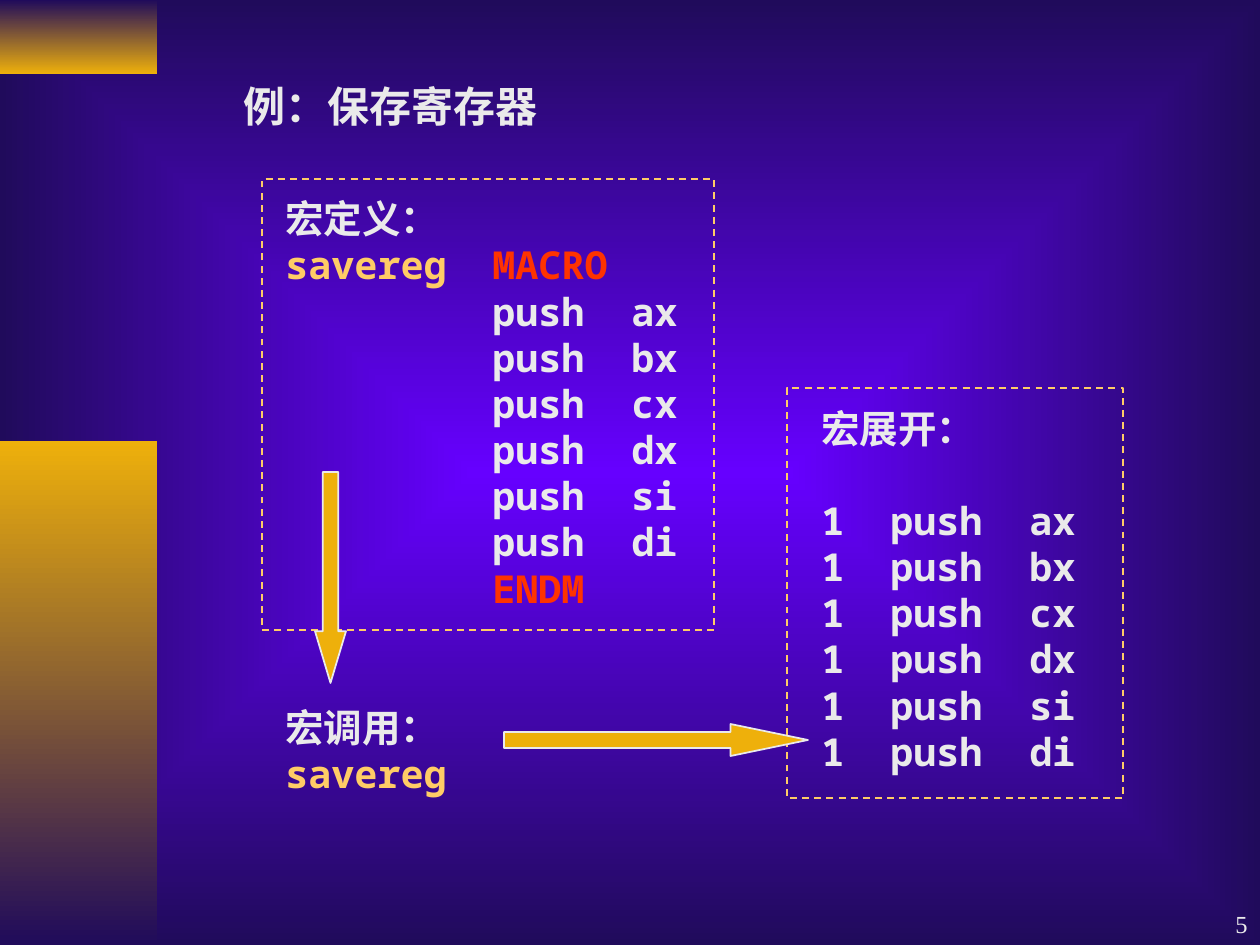
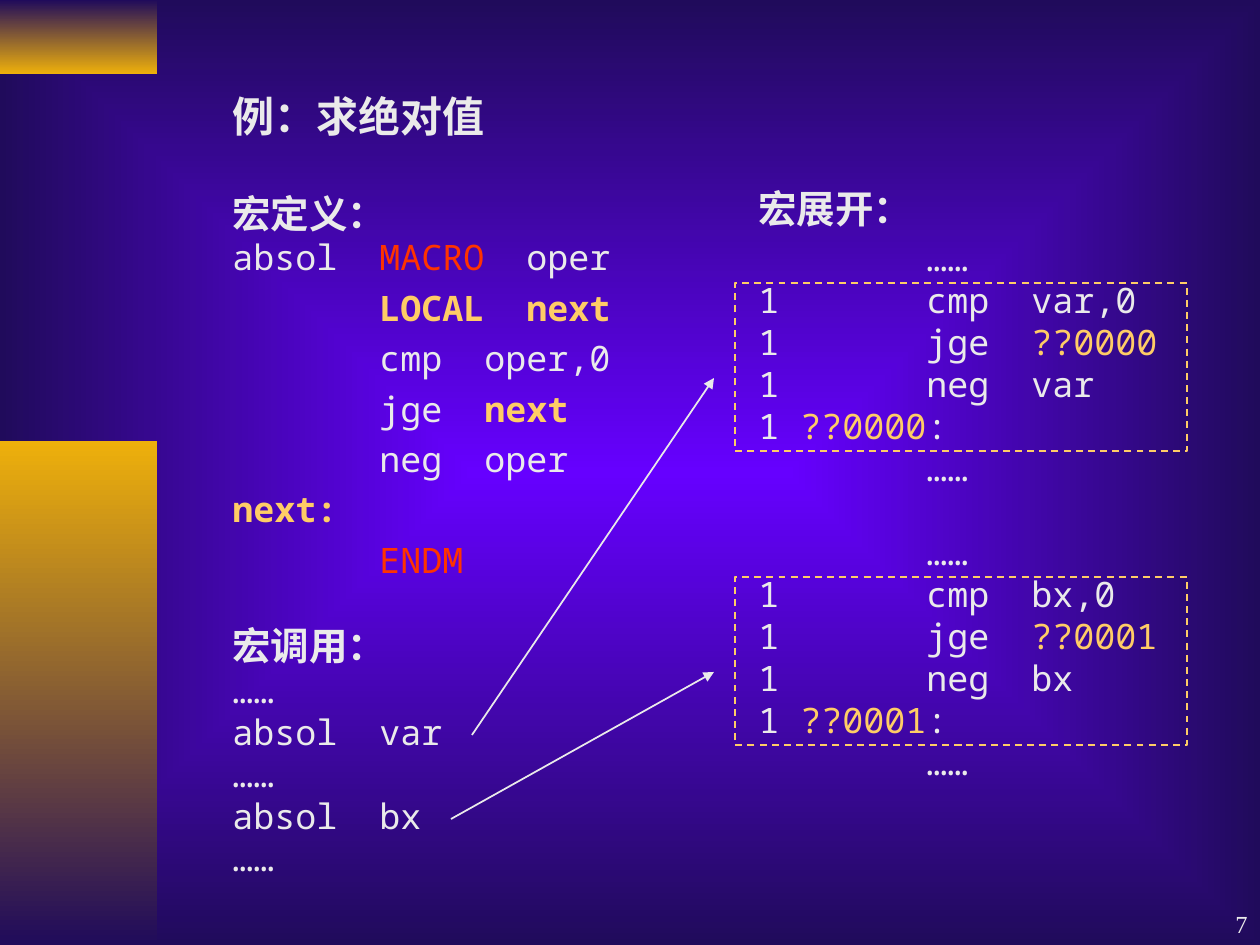
from pptx import Presentation
from pptx.dml.color import RGBColor
from pptx.enum.dml import MSO_LINE
from pptx.enum.shapes import MSO_CONNECTOR, MSO_SHAPE
from pptx.enum.text import MSO_ANCHOR, PP_ALIGN
from pptx.oxml import parse_xml
from pptx.oxml.ns import nsdecls, qn
from pptx.util import Pt

SCALE = 914400 / 126
NAVY, VIOLET, GOLD = "200B5B", "6600FF", "EEB00B"
PALE, SAND, RED = "EAEAEA", "FFCC66", "FF3300"

SERIF, MONO = "Times New Roman", "Noto Sans Mono"
TITLE = {"name": SERIF, "size": Pt(24), "bold": True}
HEAD = {"name": SERIF, "size": Pt(22), "bold": True}
STRONG = {"name": MONO, "size": Pt(22), "bold": True}
CODE = {"name": MONO, "size": Pt(20), "bold": False}
FOOT = {"name": SERIF, "size": Pt(14), "bold": False}


def px(num):
    return round(num * SCALE)


def tint(code):
    return RGBColor.from_string(code)


def apply(item, style):
    for key, value in style.items():
        setattr(item, key, value)


def blend(fill, first, last):
    fill.gradient()
    for stop, code in zip(fill.gradient_stops, (first, last)):
        stop.color.rgb = tint(code)


def line(style, *runs, tabs=(), **form):
    return style, runs, tabs, form


def set_tabs(para, tabs):
    stops = "".join(f'<a:tab pos="{px(tab)}" algn="l"/>' for tab in tabs)
    props = para._p.get_or_add_pPr()
    props.append(parse_xml(f'<a:tabLst {nsdecls("a")}>{stops}</a:tabLst>'))


def add_text(slide, box, lines, anchor=MSO_ANCHOR.TOP):
    frame = slide.shapes.add_textbox(*map(px, box)).text_frame
    apply(frame, {"word_wrap": True, "vertical_anchor": anchor})
    for row, (style, runs, tabs, form) in enumerate(lines):
        para = frame.add_paragraph() if row else frame.paragraphs[0]
        apply(para, form)
        if tabs:
            set_tabs(para, tabs)
        for part in runs:
            text, code, extra = part if isinstance(part, tuple) else (part, PALE, {})
            run = para.add_run()
            run.text = text
            apply(run.font, {**style, **extra})
            run.font.color.rgb = tint(code)


def sand(text, **extra):
    return text, SAND, extra


def red(text):
    return text, RED, {}


def add_shape(slide, kind, box):
    shape = slide.shapes.add_shape(kind, *map(px, box))
    shape.shadow.inherit = False
    return shape


def add_band(slide, box, first, last):
    band = add_shape(slide, MSO_SHAPE.RECTANGLE, box)
    blend(band.fill, first, last)
    band.fill.gradient_angle = 270
    band.line.fill.background()


def add_frame(slide, box):
    frame = add_shape(slide, MSO_SHAPE.RECTANGLE, box)
    frame.fill.background()
    frame.line.color.rgb = tint(SAND)
    apply(frame.line, {"width": Pt(1), "dash_style": MSO_LINE.DASH})


def add_block(slide, kind, box, head):
    block = add_shape(slide, kind, box)
    block.adjustments[0] = 0.5
    block.adjustments[1] = head
    block.fill.solid()
    block.fill.fore_color.rgb = tint(GOLD)
    block.line.color.rgb = tint(PALE)
    block.line.width = Pt(1)


def add_arrow(slide, *ends):
    arrow = slide.shapes.add_connector(MSO_CONNECTOR.STRAIGHT, *map(px, ends))
    arrow.line.color.rgb = tint(PALE)
    arrow.line.width = Pt(1)
    props = arrow._element.spPr
    props.find(qn("a:ln")).append(parse_xml(f'<a:tailEnd {nsdecls("a")} type="triangle"/>'))
    props.append(parse_xml(f'<a:effectLst {nsdecls("a")}/>'))


def add_page(deck, num):
    slide = deck.slides.add_slide(deck.slide_layouts[6])
    blend(slide.background.fill, VIOLET, NAVY)
    lin = slide.element.find(".//" + qn("a:lin"))
    lin.getparent().replace(lin, parse_xml(
        f'<a:path {nsdecls("a")} path="rect">'
        '<a:fillToRect l="50000" t="50000" r="50000" b="50000"/></a:path>'))
    add_band(slide, (0, 0, 157, 74), NAVY, GOLD)
    add_band(slide, (0, 441, 157, 504), GOLD, NAVY)
    add_text(slide, (998, 882, 262, 63),
             [line(FOOT, str(num), alignment=PP_ALIGN.RIGHT)], MSO_ANCHOR.BOTTOM)
    return slide


def save_regs(deck):
    slide = add_page(deck, 5)
    regs = ("ax", "bx", "cx", "dx", "si", "di")
    add_text(slide, (231, 74, 483, 63), [line(TITLE, "例：保存寄存器")])
    add_text(slide, (809, 399, 305, 383), [line(HEAD, "宏展开：")] + [
        line(STRONG, f"1\tpush\t{reg}", tabs=(69, 208), space_before=Pt(0 if row else 26))
        for row, reg in enumerate(regs)])
    cols = 207, 346
    add_text(slide, (273, 189, 451, 614), [
        line(HEAD, "宏定义："),
        line(STRONG, sand("savereg\t"), red("MACRO"), tabs=cols),
        *[line(STRONG, f"\tpush\t{reg}", tabs=cols) for reg in regs],
        line(STRONG, red("\tENDM"), tabs=cols),
        line(STRONG, "宏调用：", space_before=Pt(53)),
        line(STRONG, sand("savereg"))])
    add_frame(slide, (262, 179, 452, 451))
    add_frame(slide, (787, 388, 336, 410))
    add_block(slide, MSO_SHAPE.DOWN_ARROW, (315, 472, 31, 211), 1.67)
    add_block(slide, MSO_SHAPE.RIGHT_ARROW, (504, 724, 304, 32), 2.42)


def expand(arg, label, gap):
    cols = 168, 273
    return [
        line(CODE, "\t……", tabs=cols, space_before=Pt(gap)),
        line(CODE, f"1\tcmp\t{arg},0", tabs=cols),
        line(CODE, "1\tjge\t", sand(label), tabs=cols),
        line(CODE, f"1\tneg\t{arg}", tabs=cols),
        line(CODE, "1 ", sand(label), ":"),
        line(CODE, "\t……", tabs=cols)]


def find_abs(deck):
    slide = add_page(deck, 7)
    wide, near = (147, 294), (147, 252)
    loose = {"line_spacing": 1.2}
    add_text(slide, (220, 84, 473, 803), [
        line(TITLE, "例：求绝对值"),
        line(HEAD, "宏定义：", space_before=Pt(28)),
        line(CODE, "absol\t", red("MACRO"), "\toper", tabs=wide),
        line(CODE, sand("\tLOCAL\tnext", bold=True), tabs=wide, **loose),
        line(CODE, "\tcmp\toper,0", tabs=near, **loose),
        line(CODE, "\tjge\t", sand("next", bold=True), tabs=near, **loose),
        line(CODE, "\tneg\toper", tabs=near, **loose),
        line(CODE, sand("next:", bold=True), **loose),
        line(CODE, red("\tENDM"), tabs=near, **loose),
        line(STRONG, "宏调用：", space_before=Pt(24)),
        line(CODE, "……"),
        line(CODE, "absol\tvar", tabs=wide),
        line(CODE, "……"),
        line(CODE, "absol\tbx", tabs=wide),
        line(CODE, "……")])
    add_text(slide, (746, 179, 431, 614), [
        line(HEAD, "宏展开："), *expand("var", "??0000", 3), *expand("bx", "??0001", 24)])
    add_arrow(slide, 472, 735, 714, 378)
    add_arrow(slide, 451, 819, 714, 672)
    for top in (283, 577):
        add_frame(slide, (735, top, 452, 168))


def main():
    deck = Presentation()
    apply(deck, {"slide_width": px(1260), "slide_height": px(945)})
    save_regs(deck)
    find_abs(deck)
    deck.save("out.pptx")


if __name__ == "__main__":
    main()
